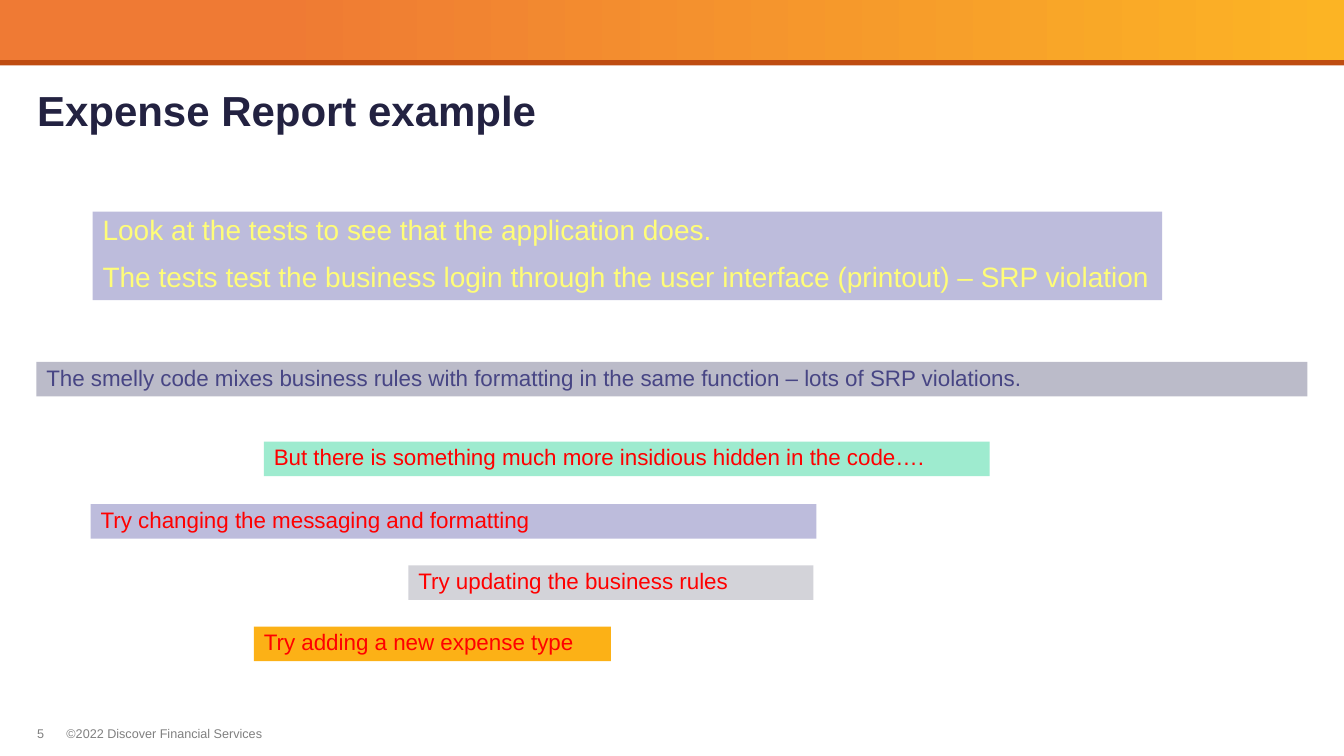
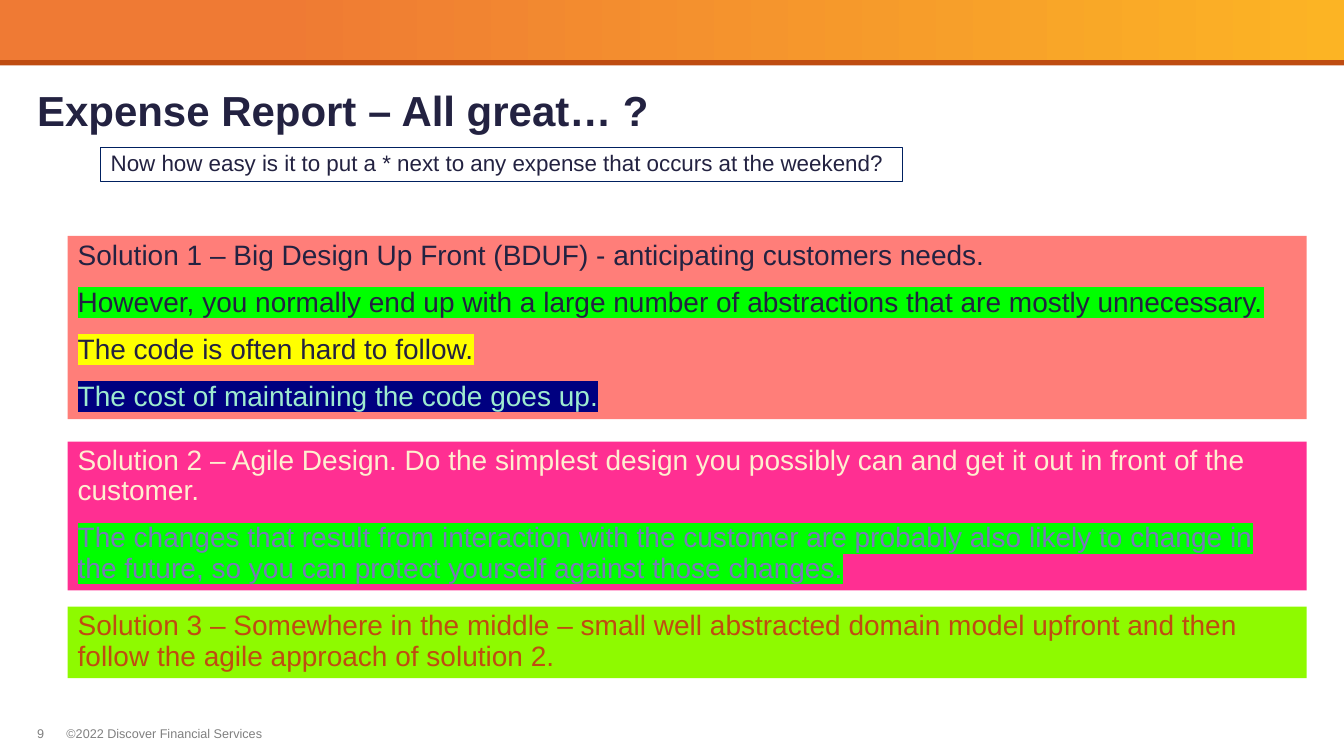
from lxml import etree
from pptx import Presentation
from pptx.dml.color import RGBColor
from pptx.enum.shapes import MSO_SHAPE
from pptx.enum.text import MSO_ANCHOR
from pptx.oxml.ns import qn
from pptx.util import Pt

RECTANGLE = MSO_SHAPE.RECTANGLE
MIDDLE = MSO_ANCHOR.MIDDLE
TOP = MSO_ANCHOR.TOP

FONT = "Arial"
PAGE_WIDTH, PAGE_HEIGHT = 960, 540
BAND_HEIGHT, RULE_HEIGHT = 43.2, 3.6
MARGIN = 26.5
FOOTER_TOP = 518.4
LINE_HEIGHT = 24.7
PANEL_INSETS = (7.2, 3.6, 7.2, 3.6)
NO_INSETS = (0, 0, 0, 0)

COLORS = {
    "ink": "232241",
    "rust": "BF4C11",
    "orange": "EF7A34",
    "gold": "FCB424",
    "amber": "FCB116",
    "footer": "808080",
    "lavender": "BDBCDC",
    "slate": "BBBBC9",
    "silver": "D3D3D9",
    "mint": "9EEBCF",
    "indigo": "474584",
    "violet": "7A78B8",
    "pale yellow": "FFFD78",
    "cream": "FEEFD0",
    "red": "FF0000",
    "salmon": "FF7E79",
    "pink": "FF2F92",
    "lime": "8EFA00",
    "outline": "002060",
    "green marker": "00FF00",
    "yellow marker": "FFFF00",
    "navy marker": "000080",
}


def rgb(name):
    return RGBColor.from_string(COLORS[name])


def write_text(para, text, size=16, color="ink", bold=False, marker=None,
               line_spacing=0.9, space_before=0):
    para.line_spacing = line_spacing
    para.space_before = Pt(space_before)
    span = para.add_run()
    span.text = text
    span.font.size = Pt(size)
    span.font.bold = bold
    span.font.name = FONT
    span.font.color.rgb = rgb(color)
    if marker:
        highlight = etree.Element(qn("a:highlight"))
        etree.SubElement(highlight, qn("a:srgbClr")).set("val", COLORS[marker])
        span.font.fill
        span._r.rPr.find(qn("a:solidFill")).addnext(highlight)


def add_box(page, left, top, width, height, insets=NO_INSETS, anchor=TOP, wrap=True):
    box = page.shapes.add_textbox(Pt(left), Pt(top), Pt(width), Pt(height))
    frame = box.text_frame
    frame.word_wrap = wrap
    frame.vertical_anchor = anchor
    frame.margin_left, frame.margin_top, frame.margin_right, frame.margin_bottom = map(Pt, insets)
    return box


def add_panel(page, left, top, width, height, lines, fill=None, outline=None, size=16):
    box = add_box(page, left, top, width, height, insets=PANEL_INSETS)
    if fill:
        box.fill.solid()
        box.fill.fore_color.rgb = rgb(fill)
    if outline:
        box.line.color.rgb = rgb(outline)
        box.line.width = Pt(0.75)
    frame = box.text_frame
    for index, (text, color, marker) in enumerate(lines):
        para = frame.add_paragraph() if index else frame.paragraphs[0]
        write_text(para, text, size=size, color=color, marker=marker,
                   space_before=12 if index else 0)


def add_bar(page, height):
    bar = page.shapes.add_shape(RECTANGLE, 0, 0, Pt(PAGE_WIDTH), Pt(height))
    bar.shadow.inherit = False
    bar.line.fill.background()
    return bar


def add_header(page):
    rule = add_bar(page, BAND_HEIGHT + RULE_HEIGHT)
    rule.fill.solid()
    rule.fill.fore_color.rgb = rgb("rust")
    band = add_bar(page, BAND_HEIGHT)
    band.fill.gradient()
    band.fill.gradient_angle = 180
    for stop, (position, color) in zip(band.fill.gradient_stops, [(0, "gold"), (0.8, "orange")]):
        stop.position = position
        stop.color.rgb = rgb(color)


def add_footer(page, number):
    for left, width, text in [(47.5, 141, "©2022 Discover Financial Services"),
                              (MARGIN, 10.8, str(number))]:
        box = add_box(page, left, FOOTER_TOP, width, 10.8)
        write_text(box.text_frame.paragraphs[0], text, size=9, color="footer", line_spacing=1)


def add_page(deck, title, number):
    page = deck.slides.add_slide(deck.slide_layouts[6])
    add_header(page)
    add_footer(page, number)
    box = add_box(page, MARGIN, BAND_HEIGHT + RULE_HEIGHT, PAGE_WIDTH - 2 * MARGIN, 61.2,
                  insets=(0, 7.2, 0, 0), anchor=MIDDLE)
    write_text(box.text_frame.paragraphs[0], title, size=30, bold=True, line_spacing=0.85)
    return page


def build_example(deck):
    page = add_page(deck, "Expense Report example", 5)
    add_panel(page, 66.2, 151.2, 764, 63.2, [
        ("Look at the tests to see that the application does.", "pale yellow", None),
        ("The tests test the business login through the user interface (printout) – SRP violation",
         "pale yellow", None),
    ], fill="lavender", size=20)
    notes = [
        (26, 258.5, 908, "slate", "indigo",
         "The smelly code mixes business rules with formatting in the same function – "
         "lots of SRP violations."),
        (188.5, 315.4, 518.4, "mint", "red",
         "But there is something much more insidious hidden in the code…."),
        (64.8, 360, 518.4, "lavender", "red", "Try changing the messaging and formatting"),
        (291.8, 403.8, 289.3, "silver", "red", "Try updating the business rules"),
        (181.4, 447.6, 255, "amber", "red", "Try adding a new expense type"),
    ]
    for left, top, width, fill, color, text in notes:
        add_panel(page, left, top, width, LINE_HEIGHT, [(text, color, None)], fill=fill)


def build_solutions(deck):
    page = add_page(deck, "Expense Report – All great… ?", 9)
    question = "Now how easy is it to put a * next to any expense that occurs at the weekend?"
    add_panel(page, 72, 105.3, 572.6, LINE_HEIGHT, [(question, "ink", None)], outline="outline")
    solutions = [
        (168.5, 131, "salmon", [
            ("Solution 1 – Big Design Up Front (BDUF) - anticipating customers needs.", "ink", None),
            ("However, you normally end up with a large number of abstractions "
             "that are mostly unnecessary.", "ink", "green marker"),
            ("The code is often hard to follow.", "ink", "yellow marker"),
            ("The cost of maintaining the code goes up.", "mint", "navy marker"),
        ]),
        (315.4, 106.4, "pink", [
            ("Solution 2 – Agile Design. Do the simplest design you possibly can "
             "and get it out in front of the customer.", "cream", None),
            ("The changes that result from interaction with the customer are probably also likely "
             "to change in the future, so you can protect yourself against those changes.",
             "violet", "green marker"),
        ]),
        (433.4, 51, "lime", [
            ("Solution 3 – Somewhere in the middle – small well abstracted domain model upfront "
             "and then follow the agile approach of solution 2.", "rust", None),
        ]),
    ]
    for top, height, fill, lines in solutions:
        add_panel(page, 48.4, top, 885, height, lines, fill=fill, size=20)


def main():
    deck = Presentation()
    deck.slide_width = Pt(PAGE_WIDTH)
    deck.slide_height = Pt(PAGE_HEIGHT)
    build_example(deck)
    build_solutions(deck)
    deck.save("out.pptx")


if __name__ == "__main__":
    main()
